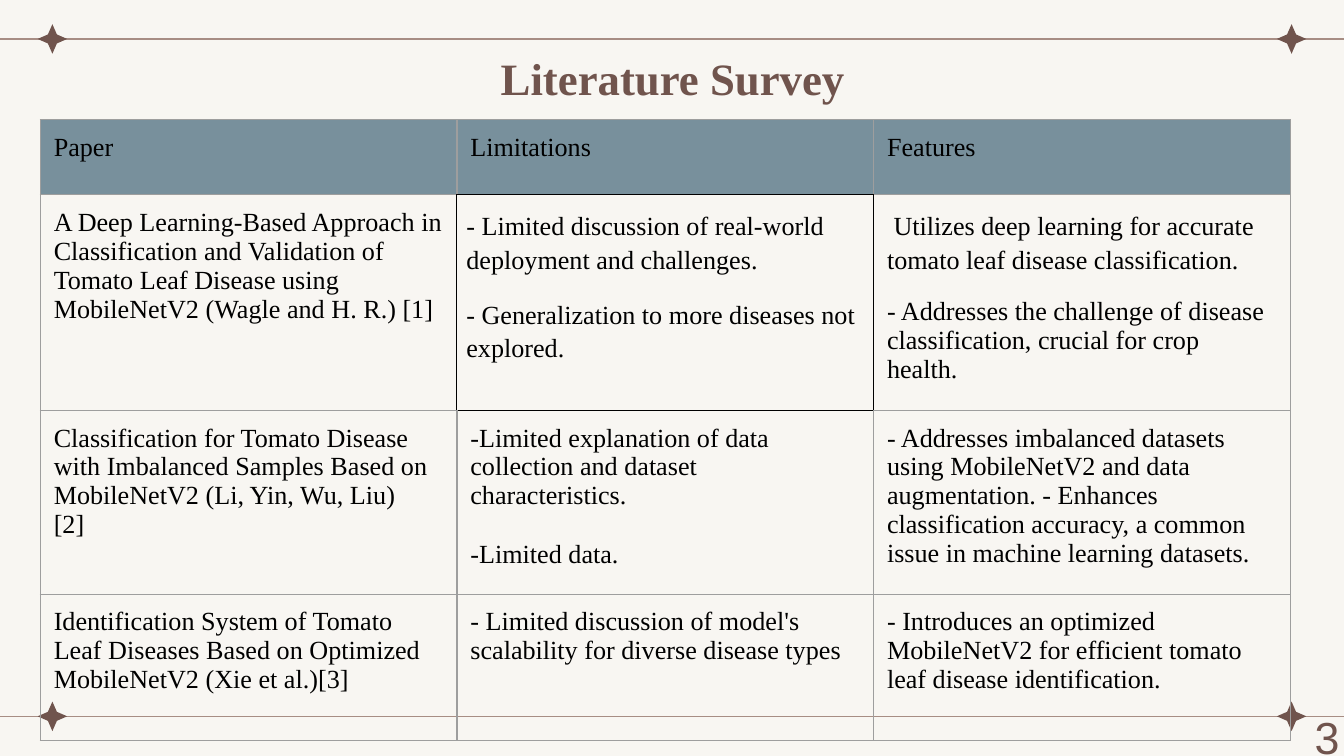
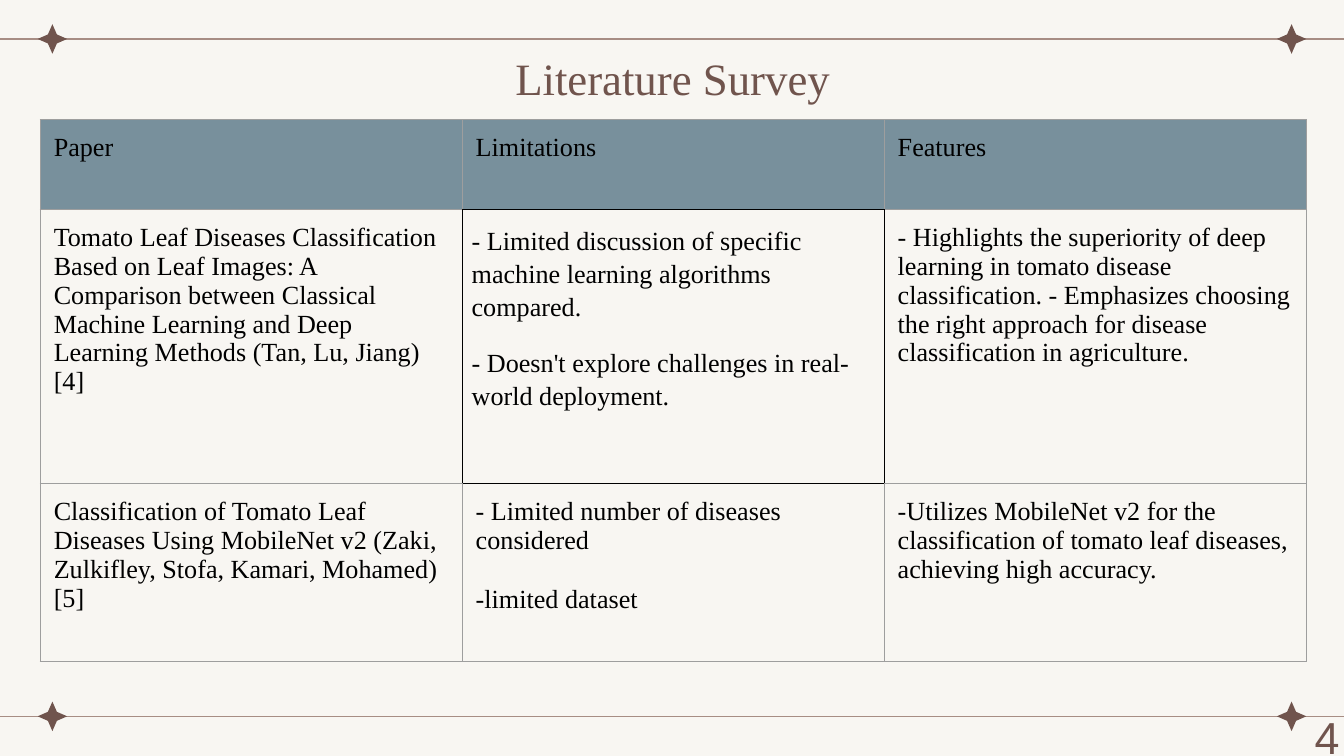
from dataclasses import dataclass

from lxml.etree import SubElement
from pptx import Presentation
from pptx.dml.color import RGBColor
from pptx.enum.shapes import MSO_CONNECTOR as Connector
from pptx.enum.shapes import MSO_SHAPE as Shape
from pptx.enum.text import MSO_ANCHOR as Anchor
from pptx.enum.text import PP_ALIGN as Align
from pptx.oxml.ns import qn
from pptx.util import Inches, Pt

CREAM, BROWN, RULE = "F8F6F2", "70544D", "A78D84"
SLATE, GREY, BLACK = "78909C", "9E9E9E", "000000"
SERIF, SANS = "Times New Roman", "Arial"
HEADINGS = ["Paper", "Limitations", "Features"]
BOXED = (1, 1)
NEIGHBOURS = {"L": (0, -1), "R": (0, 1), "T": (-1, 0), "B": (1, 0)}


@dataclass
class Para:
    """A table paragraph with its spacing in points."""
    text: str
    line: float = 1.0
    before: float = 0
    after: float = 0


def boxed(first, second):
    """Return the two loosely spaced paragraphs of the outlined cell."""
    return [Para(first, 1.15, 12), Para(second, 1.15, 12, 12)]


def apart(first, second):
    """Return two paragraphs one text line apart."""
    return [Para(first), Para(second, before=16)]


SURVEY_ONE = [
    ["A Deep Learning-Based Approach in Classification and Validation of "
     "Tomato Leaf Disease using MobileNetV2 (Wagle and H. R.) [1]",
     boxed("- Limited discussion of real-world deployment and challenges.",
           "- Generalization to more diseases not explored."),
     [Para(" Utilizes deep learning for accurate tomato leaf disease "
           "classification.", 1.15, 12),
      Para("- Addresses the challenge of disease classification, crucial "
           "for crop health.", before=12)]],
    [[Para("Classification for Tomato Disease with Imbalanced Samples Based "
           "on MobileNetV2 (Li, Yin, Wu, Liu)"), Para("[2]")],
     apart("-Limited explanation of data collection and dataset "
           "characteristics.", "-Limited data."),
     "- Addresses imbalanced datasets using MobileNetV2 and data "
     "augmentation. - Enhances classification accuracy, a common issue in "
     "machine learning datasets."],
    ["Identification System of Tomato Leaf Diseases Based on Optimized "
     "MobileNetV2 (Xie et al.)[3]",
     "- Limited discussion of model's scalability for diverse disease types",
     "- Introduces an optimized MobileNetV2 for efficient tomato leaf "
     "disease identification."],
]
SURVEY_TWO = [
    ["Tomato Leaf Diseases Classification Based on Leaf Images: A Comparison "
     "between Classical Machine Learning and Deep Learning Methods (Tan, Lu, "
     "Jiang) [4]",
     boxed("- Limited discussion of specific machine learning algorithms "
           "compared.",
           "- Doesn't explore challenges in real-world deployment."),
     "- Highlights the superiority of deep learning in tomato disease "
     "classification. - Emphasizes choosing the right approach for disease "
     "classification in agriculture."],
    [[Para("Classification of Tomato Leaf Diseases Using MobileNet v2 (Zaki, "
           "Zulkifley, Stofa, Kamari, Mohamed)"), Para("[5]")],
     apart("- Limited number of diseases considered", "-limited dataset"),
     "-Utilizes MobileNet v2 for the classification of tomato leaf diseases, "
     "achieving high accuracy."],
]


def color(value):
    """Turn a hex string into a colour."""
    return RGBColor.from_string(value)


def set_font(paragraph, name, size, value, bold=False):
    """Set the font of a whole paragraph."""
    font = paragraph.font
    font.name, font.size, font.bold = name, Pt(size), bold
    font.color.rgb = color(value)


def add_rule(slide, top):
    """Draw a thin line across the slide."""
    rule = slide.shapes.add_connector(
        Connector.STRAIGHT, Inches(-0.01), Inches(top), Inches(10.01), Inches(top))
    rule.line.color.rgb = color(RULE)
    rule.line.width = Pt(0.75)
    SubElement(rule.element.spPr, qn("a:effectLst"))


def add_star(slide, left, top):
    """Draw a four-pointed star."""
    star = slide.shapes.add_shape(
        Shape.STAR_4_POINT, Inches(left), Inches(top), Inches(0.22), Inches(0.22))
    star.adjustments[0] = 0.216
    star.shadow.inherit = False
    star.fill.solid()
    star.fill.fore_color.rgb = color(BROWN)
    star.line.fill.background()


def add_frame(slide):
    """Draw the two rules with a star near each end."""
    for rule_top, star_top in ((0.29, 0.18), (5.33, 5.22)):
        add_rule(slide, rule_top)
        for left in (0.28, 9.5):
            add_star(slide, left, star_top)


def add_label(slide, box, text, name, margin, wrap, bold=False):
    """Add a centred brown line of text."""
    frame = slide.shapes.add_textbox(*map(Inches, box)).text_frame
    frame.word_wrap = wrap
    frame.margin_top = frame.margin_bottom = Inches(margin)
    frame.vertical_anchor = Anchor.MIDDLE if wrap else Anchor.TOP
    paragraph = frame.paragraphs[0]
    paragraph.text = text
    paragraph.alignment = Align.CENTER
    set_font(paragraph, name, 24, BROWN, bold)


def set_borders(cell, row, column):
    """Outline a cell in grey, and in black where it meets the boxed cell."""
    properties = cell._tc.get_or_add_tcPr()
    for side, (down, across) in NEIGHBOURS.items():
        black = BOXED in ((row, column), (row + down, column + across))
        width = Pt(0.6 if black else 0.75)
        line = SubElement(properties, qn(f"a:ln{side}"), w=str(int(width)))
        fill = SubElement(line, qn("a:solidFill"))
        SubElement(fill, qn("a:srgbClr"), val=BLACK if black else GREY)


def fill_cell(cell, content, row, column):
    """Write and style one table cell."""
    set_borders(cell, row, column)
    if row == 0:
        cell.fill.solid()
        cell.fill.fore_color.rgb = color(SLATE)
    else:
        cell.fill.background()
    side = 0.07 if (row, column) == BOXED else 0.1
    cell.margin_left = cell.margin_right = Inches(side)
    cell.margin_top = cell.margin_bottom = Inches(0.1)
    items = [Para(content)] if isinstance(content, str) else content
    frame = cell.text_frame
    for index, item in enumerate(items):
        paragraph = frame.add_paragraph() if index else frame.paragraphs[0]
        paragraph.text = item.text
        paragraph.line_spacing = item.line
        paragraph.space_before = Pt(item.before)
        paragraph.space_after = Pt(item.after)
        set_font(paragraph, SERIF, 14, BLACK)


def add_survey(slide, papers, column_width, heights):
    """Add the survey table with its heading row."""
    rows = [HEADINGS] + papers
    count = len(HEADINGS)
    table = slide.shapes.add_table(
        len(rows), count, Inches(0.3), Inches(0.89),
        Inches(column_width * count), Inches(sum(heights))).table
    table.first_row = table.horz_banding = False
    for column in table.columns:
        column.width = Inches(column_width)
    for row, (contents, height) in enumerate(zip(rows, heights)):
        table.rows[row].height = Inches(height)
        for column, content in enumerate(contents):
            fill_cell(table.cell(row, column), content, row, column)


def add_survey_slide(presentation, number, papers, column_width, heights, bold):
    """Add a framed slide with title, table and page number."""
    slide = presentation.slides.add_slide(presentation.slide_layouts[6])
    add_frame(slide)
    add_label(slide, (0.79, 0.26, 8.43, 0.63), "Literature Survey",
              SERIF, 0.1, True, bold)
    add_survey(slide, papers, column_width, heights)
    add_label(slide, (9.68, 5.23, 0.39, 0.5), str(number), SANS, 0.05, False)


def main():
    """Build and save the presentation."""
    presentation = Presentation()
    presentation.slide_width = Inches(10)
    presentation.slide_height = Inches(5.625)
    background = presentation.slide_master.background.fill
    background.solid()
    background.fore_color.rgb = color(CREAM)
    add_survey_slide(presentation, 3, SURVEY_ONE, 3.1,
                     (0.56, 1.5, 1.28, 1.09), True)
    add_survey_slide(presentation, 4, SURVEY_TWO, 3.14,
                     (0.67, 2.04, 1.32), False)
    presentation.save("out.pptx")


if __name__ == "__main__":
    main()
